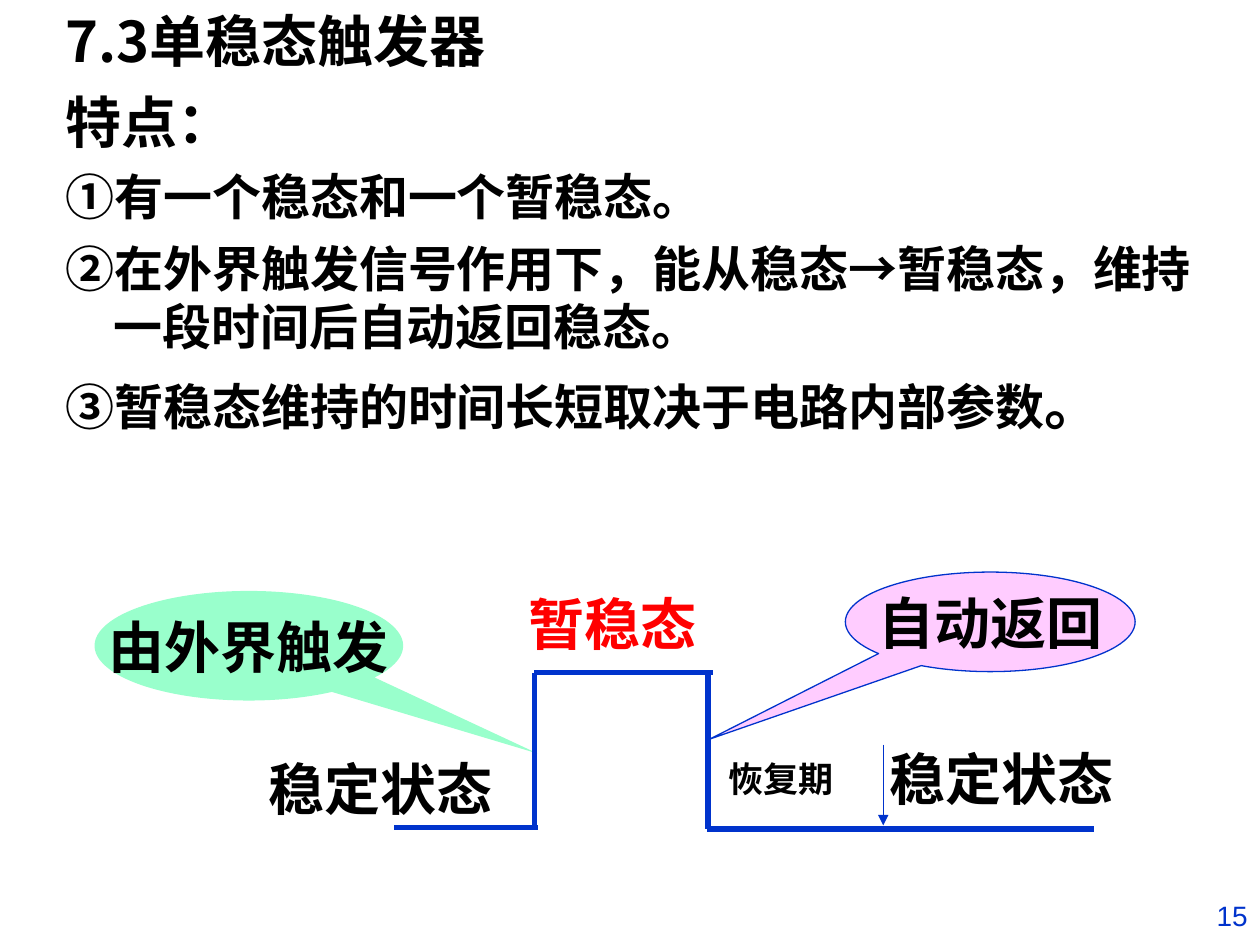
from lxml.etree import SubElement
from pptx import Presentation
from pptx.dml.color import RGBColor
from pptx.enum.shapes import MSO_CONNECTOR, MSO_SHAPE
from pptx.enum.text import MSO_ANCHOR, MSO_AUTO_SIZE, PP_ALIGN
from pptx.oxml.ns import qn
from pptx.util import Inches, Pt

COLORS = {"black": "000000", "blue": "0033CC", "red": "FF0000",
          "green": "99FFCC", "pink": "FFCCFF"}
CHINESE_FONT = "Noto Sans CJK SC"


def color(name):
    return RGBColor.from_string(COLORS[name])


def add_run(paragraph, text, size, font_name, color_name="black", bold=True):
    run = paragraph.add_run()
    run.text = text
    formats = {"size": Pt(size), "name": font_name, "bold": bold}
    for attribute, value in formats.items():
        setattr(run.font, attribute, value)
    run.font.color.rgb = color(color_name)
    SubElement(run.font._element, qn("a:ea"), typeface=CHINESE_FONT)


presentation = Presentation()
presentation.slide_width = Inches(10)
presentation.slide_height = Inches(7.5)
slide = presentation.slides.add_slide(presentation.slide_layouts[1])
title = slide.shapes.title
title._element.getparent().remove(title._element)

body = slide.placeholders[1]
body_box = {"left": 0.42, "top": 0, "width": 9.28, "height": 6.19}
for attribute, value in body_box.items():
    setattr(body, attribute, Inches(value))
body.text_frame.auto_size = MSO_AUTO_SIZE.NONE
body.text_frame.vertical_anchor = MSO_ANCHOR.TOP
body.text_frame.margin_top = Inches(0.05)

features = [
    (0, [("7.3单稳态触发器", 32, CHINESE_FONT)]),
    (8, [("特点：", 32, "Arial")]),
    (7, [("①", 28, CHINESE_FONT), ("有一个稳态和一个暂稳态。", 28, "Arial")]),
    (7, [("②在外界触发信号作用下，能从稳态→暂稳态，维持一段时间后自动返回稳态。",
          28, CHINESE_FONT)]),
    (8, [("③暂稳态维持的时间长短取决于电路内部参数", 28, CHINESE_FONT),
         ("。", 32, CHINESE_FONT)]),
]
for index, (space_before, runs) in enumerate(features):
    frame = body.text_frame
    paragraph = frame.add_paragraph() if index else frame.paragraphs[0]
    paragraph.space_before = Pt(space_before)
    paragraph.line_spacing = 1.0
    properties = paragraph._p.get_or_add_pPr()
    properties.set("marL", str(Inches(0.38)))
    properties.set("indent", str(-Inches(0.38)))
    SubElement(properties, qn("a:buNone"))
    for text, size, font_name in runs:
        add_run(paragraph, text, size, font_name)

callouts = [
    ("由外界触发", (0.75, 4.69, 2.45, 0.87), (0.935, 0.983), "green", None),
    ("自动返回", (6.71, 4.54, 2.3, 0.79), (-0.968, 1.178), "pink", "blue"),
]
for text, box, tip, fill_color, line_color in callouts:
    callout = slide.shapes.add_shape(MSO_SHAPE.OVAL_CALLOUT, *map(Inches, box))
    callout.shadow.inherit = False
    callout.adjustments[0], callout.adjustments[1] = tip
    callout.fill.solid()
    callout.fill.fore_color.rgb = color(fill_color)
    if line_color:
        callout.line.color.rgb = color(line_color)
        callout.line.width = Pt(0.75)
    else:
        callout.line.fill.background()
    callout.text_frame.word_wrap = False
    callout.text_frame.vertical_anchor = MSO_ANCHOR.MIDDLE
    paragraph = callout.text_frame.paragraphs[0]
    paragraph.alignment = PP_ALIGN.CENTER
    add_run(paragraph, text, 32, "Times New Roman")

pulse_lines = [
    (3.13, 6.57, 4.27, 6.57),
    (4.24, 5.34, 5.66, 5.34),
    (5.61, 6.58, 8.68, 6.58),
    (4.24, 5.34, 4.24, 6.57),
    (5.62, 5.35, 5.62, 6.58),
]
recovery_arrow = (7.01, 5.91, 7.01, 6.55)
for points in pulse_lines + [recovery_arrow]:
    connector = slide.shapes.add_connector(MSO_CONNECTOR.STRAIGHT, *map(Inches, points))
    connector.line.color.rgb = color("blue")
    connector.line.width = Pt(0.75 if points == recovery_arrow else 3)
    if points == recovery_arrow:
        SubElement(connector.line._get_or_add_ln(), qn("a:tailEnd"), type="triangle")
    SubElement(connector._element.spPr, qn("a:effectLst"))

labels = [
    ("稳定状态", (2.03, 5.94, 2.24, 0.64), 32, "black"),
    ("稳定状态", (6.96, 5.86, 2.24, 0.64), 32, "black"),
    ("暂稳态", (4.1, 4.63, 1.64, 0.64), 32, "red"),
    ("恢复期", (5.68, 5.96, 1.23, 0.43), 20, "black"),
]
for text, box, size, text_color in labels:
    label = slide.shapes.add_textbox(*map(Inches, box))
    label.text_frame.word_wrap = True
    label.text_frame.vertical_anchor = MSO_ANCHOR.TOP
    add_run(label.text_frame.paragraphs[0], text, size, "Times New Roman", text_color)

page_number = slide.shapes.add_textbox(Inches(7.5), Inches(7.08), Inches(2.5), Inches(0.42))
page_number.text_frame.word_wrap = True
page_number.text_frame.vertical_anchor = MSO_ANCHOR.TOP
paragraph = page_number.text_frame.paragraphs[0]
paragraph.alignment = PP_ALIGN.RIGHT
add_run(paragraph, "15", 16, "Arial", "blue", False)

presentation.save("out.pptx")
